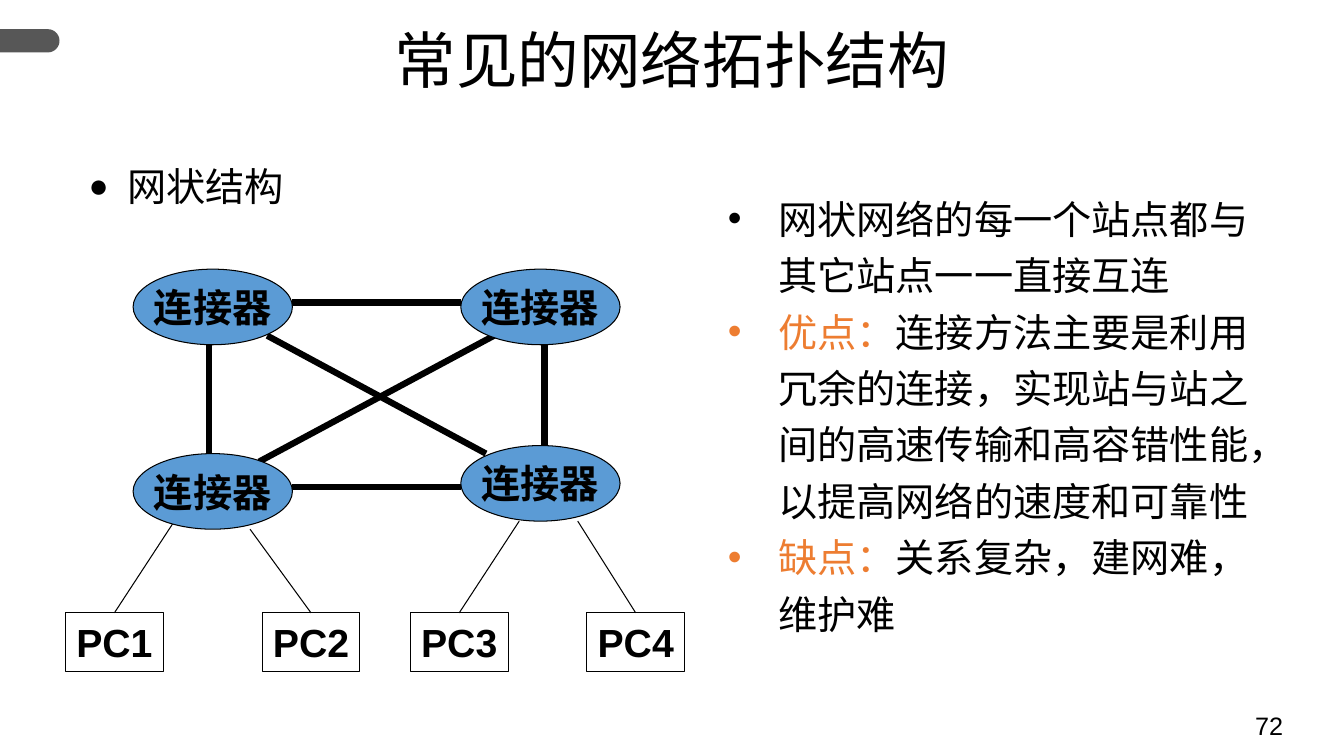
from math import cos, pi, sin

from lxml.etree import SubElement
from pptx import Presentation
from pptx.dml.color import RGBColor
from pptx.enum.shapes import MSO_CONNECTOR, MSO_SHAPE
from pptx.enum.text import MSO_ANCHOR, MSO_AUTO_SIZE, PP_ALIGN
from pptx.oxml.ns import qn
from pptx.util import Inches, Pt

COLORS = {"black": "000000", "white": "FFFFFF", "gray": "575757",
          "blue": "5B9BD5", "orange": "ED7D31"}
CJK = "Noto Sans CJK SC"


def color(name):
    return RGBColor.from_string(COLORS[name])


def style(font, size, name="Arial", bold=False):
    font.size, font.name, font.bold = Pt(size), name, bold
    font.color.rgb = color("black")


def place(shape, box):
    shape.left, shape.top, shape.width, shape.height = map(Inches, box)


def add_tab(slide, box):
    """Draw a bar whose right end is a half circle."""
    x, y, w, h = box
    r = h / 2
    turns = [pi * (i / 24 - 0.5) for i in range(25)]
    curve = [(Inches(x + w - r + r * cos(t)), Inches(y + r + r * sin(t)))
             for t in turns]
    path = slide.shapes.build_freeform(Inches(x), Inches(y))
    path.add_line_segments(curve + [(Inches(x), Inches(y + h))])
    tab = path.convert_to_shape()
    tab.shadow.inherit = False
    tab.fill.solid()
    tab.fill.fore_color.rgb = color("gray")
    tab.line.fill.background()


def add_title(slide, box, text):
    title = slide.shapes.title
    place(title, box)
    frame = title.text_frame
    frame.text = text
    frame.vertical_anchor = MSO_ANCHOR.TOP
    frame.auto_size = MSO_AUTO_SIZE.NONE
    par = frame.paragraphs[0]
    par.alignment, par.line_spacing = PP_ALIGN.CENTER, 0.9
    style(par.font, 44)


def add_number(slide, box, text):
    frame = slide.shapes.add_textbox(*map(Inches, box)).text_frame
    frame.word_wrap = True
    frame.text = text
    style(frame.paragraphs[0].font, 18)


def set_bullet(par, char, left, hang, scale):
    props = par._p.get_or_add_pPr()
    props.set("marL", str(Inches(left)))
    props.set("indent", str(-Inches(hang)))
    SubElement(props, qn("a:buSzPct"), val=str(scale * 1000))
    SubElement(props, qn("a:buFont"), typeface="Arial")
    SubElement(props, qn("a:buChar"), char=char)


def fill_list(holder, box, items, spacing, bullet, level=0):
    """Fill a placeholder with (orange lead, black text) items."""
    place(holder, box)
    frame = holder.text_frame
    frame.vertical_anchor = MSO_ANCHOR.TOP
    frame.auto_size = MSO_AUTO_SIZE.NONE
    for i, (lead, text) in enumerate(items):
        par = frame.paragraphs[0] if i == 0 else frame.add_paragraph()
        par.level = level
        par.line_spacing, par.space_before = spacing, Pt(0)
        set_bullet(par, *bullet)
        style(par.font, 28, CJK)
        if lead:
            run = par.add_run()
            run.text = lead
            run.font.color.rgb = color("orange")
        par.add_run().text = text


def add_node(slide, kind, box, text, fill):
    node = slide.shapes.add_shape(kind, *map(Inches, box))
    node.shadow.inherit = False
    node.fill.solid()
    node.fill.fore_color.rgb = color(fill)
    node.line.color.rgb = color("black")
    node.line.width = Pt(0.75)
    frame = node.text_frame
    frame.word_wrap = False
    frame.vertical_anchor = MSO_ANCHOR.MIDDLE
    frame.text = text
    par = frame.paragraphs[0]
    par.alignment = PP_ALIGN.CENTER
    style(par.font, 28, bold=True)
    return node


def add_line(slide, start, end, width):
    line = slide.shapes.add_connector(
        MSO_CONNECTOR.STRAIGHT, *map(Inches, start + end))
    line.line.color.rgb = color("black")
    line.line.width = Pt(width)
    SubElement(line._element.spPr, qn("a:effectLst"))
    return line


def add_mesh(slide, x, y):
    """Draw four linked hubs and their PCs from the top left corner."""
    def at(dx, dy):
        return x + dx, y + dy

    pcs = [(0, (1.08, 2.5)), (1.95, (1.83, 2.58)),
           (3.42, (4.5, 2.5)), (5.17, (5.08, 2.5))]
    for i, (dx, start) in enumerate(pcs, 1):
        pc = add_node(slide, MSO_SHAPE.RECTANGLE,
                      at(dx, 3.41) + (0.97, 0.58), f"PC{i}", "white")
        leg = add_line(slide, at(*start), at(dx + 0.49, 3.41), 0.75)
        leg.end_connect(pc, 0)

    links = [((2.25, 0.33), (3.92, 0.33)), ((1.42, 0.75), (1.42, 1.83)),
             ((2.25, 2.16), (3.92, 2.16)), ((4.75, 0.75), (4.75, 1.75)),
             ((2, 0.66), (4.17, 1.83)), ((1.92, 1.91), (4.25, 0.66))]
    for start, end in links:
        add_line(slide, at(*start), at(*end), 4.5)

    for hub in [(3.92, 0), (0.67, 0), (3.92, 1.75), (0.67, 1.83)]:
        add_node(slide, MSO_SHAPE.OVAL, at(*hub) + (1.58, 0.75),
                 "连接器", "blue")


def main():
    deck = Presentation()
    deck.slide_width, deck.slide_height = Inches(13.33), Inches(7.5)
    slide = deck.slides.add_slide(deck.slide_layouts[3])
    add_tab(slide, (0, 0.29, 0.59, 0.23))
    add_title(slide, (0, 0.25, 13.33, 1.25), "常见的网络拓扑结构")
    add_number(slide, (12.35, 7, 0.99, 0.5), "72")
    topic, notes = slide.placeholders[1], slide.placeholders[2]
    fill_list(topic, (0.78, 1.42, 12.02, 5.76), [("", "网状结构")],
              1.3, ("●", 0.38, 0.38, 85))
    fill_list(notes, (6.12, 1.79, 6.67, 4.62), [
        ("", "网状网络的每一个站点都与其它站点一一直接互连"),
        ("优点：", "连接方法主要是利用冗余的连接，实现站与站之间的高速传输"
                "和高容错性能，以提高网络的速度和可靠性"),
        ("缺点：", "关系复杂，建网难，维护难"),
    ], 1.2, ("•", 1.5, 0.5, 100), level=2)
    add_mesh(slide, 0.65, 2.67)
    deck.save("out.pptx")


if __name__ == "__main__":
    main()
